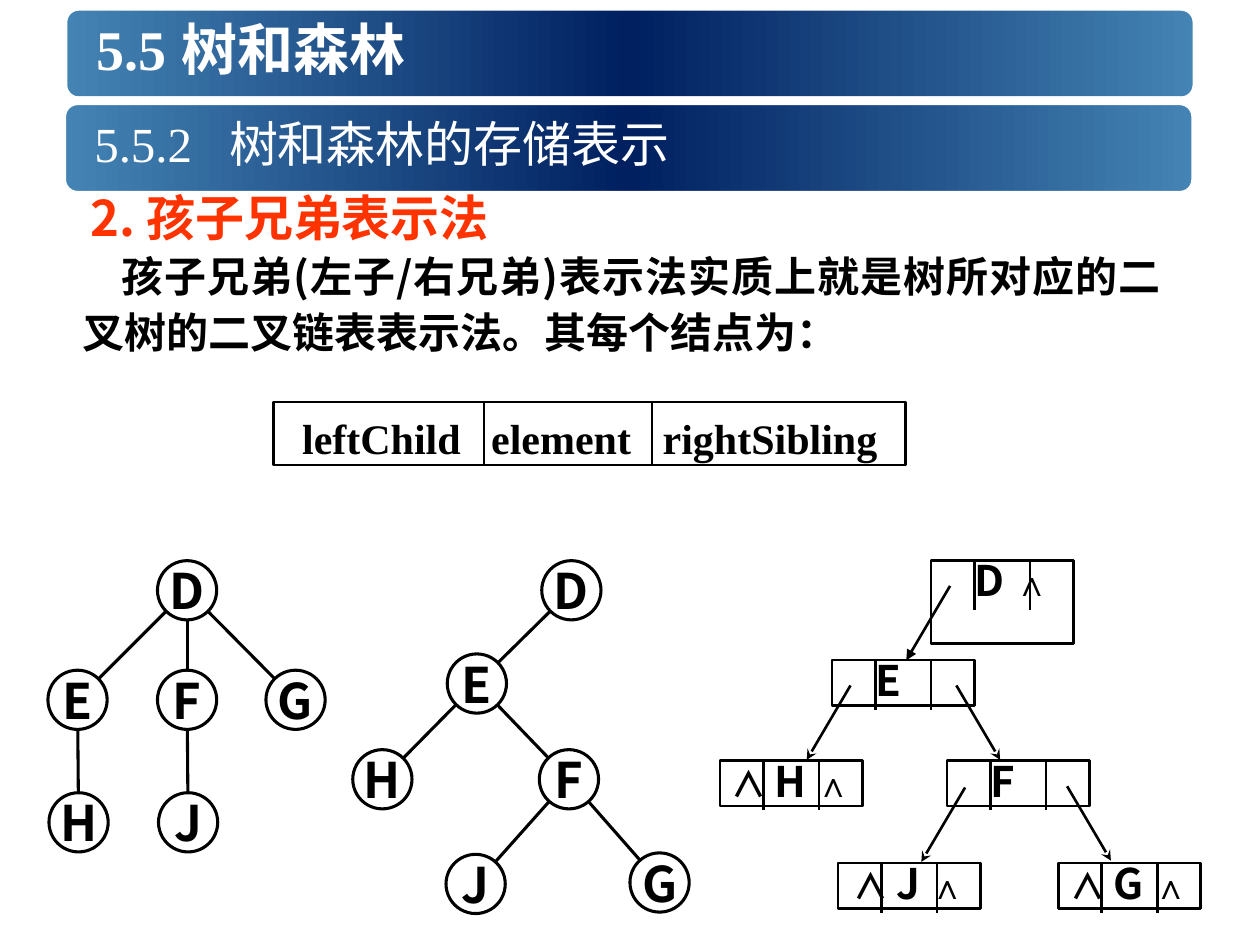
from copy import deepcopy
from dataclasses import dataclass
from math import hypot

from lxml.etree import SubElement
from pptx import Presentation
from pptx.dml.color import RGBColor
from pptx.enum.shapes import MSO_CONNECTOR as Connector, MSO_SHAPE as Preset
from pptx.enum.text import MSO_ANCHOR as Anchor, MSO_AUTO_SIZE as AutoSize, PP_ALIGN as Align
from pptx.oxml.ns import qn
from pptx.util import Pt

BLACK = RGBColor(0x00, 0x00, 0x00)
WHITE = RGBColor(0xFF, 0xFF, 0xFF)
RED = RGBColor(0xFF, 0x33, 0x00)
STEEL = RGBColor(0x44, 0x84, 0xB4)
NAVY = RGBColor(0x00, 0x20, 0x60)
SANS = "Noto Sans CJK SC"
SERIF = "Times New Roman"
SYMBOL = "Arial"
DIAMETER = 33.84
RECORD_WIDTH = 81.4
DIVIDERS = (24.8, 56.6)
DIVIDER_HEIGHT = 28.4
POINTER_REACH = (25, 42.5)


@dataclass
class Node:
    label: str
    left: float
    top: float

    @property
    def center(self) -> tuple[float, float]:
        return self.left + DIAMETER / 2, self.top + DIAMETER / 2


@dataclass
class Tree:
    nodes: list[Node]
    edges: list[str]


@dataclass
class Record:
    label: str
    left: float
    top: float
    height: float = 26
    left_null: bool = False
    right_null: bool = False


@dataclass
class Pointer:
    x: float
    y: float
    direction: int
    head: str = "stealth"


TREES = [
    Tree([Node("D", 90, 320.4), Node("E", 27.4, 383), Node("F", 90, 383), Node("G", 152, 383),
          Node("H", 28, 453), Node("J", 90.6, 453)],
         ["DE", "DF", "DG", "EH", "FJ"]),
    Tree([Node("D", 309.6, 320.4), Node("E", 255.6, 373.7), Node("F", 308.2, 428.4),
          Node("G", 360, 487.4), Node("H", 201.6, 428.4), Node("J", 254.9, 488.2)],
         ["DE", "EF", "FG", "EH", "FJ"]),
]
RECORDS = [
    Record("J", 478.8, 493.2, left_null=True, right_null=True),
    Record("G", 604.8, 493.2, left_null=True, right_null=True),
    Record("F", 541.2, 434.7),
    Record("H", 411.5, 434.7, left_null=True, right_null=True),
    Record("E", 475.4, 377.1),
    Record("D", 532, 320.4, 47.5, right_null=True),
]
POINTERS = [
    Pointer(542.9, 334.8, -1, "triangle"),
    Pointer(486, 391.7, -1),
    Pointer(551.5, 450, -1),
    Pointer(546.5, 391.7, 1),
    Pointer(609.8, 449.3, 1),
]


def style_run(run, size: float, font: str, color: RGBColor, bold: bool = True) -> None:
    run.font.size = Pt(size)
    run.font.name = font
    run.font.bold = bold
    run.font.color.rgb = color
    east_asian = SubElement(run.font._element, qn("a:ea"))
    east_asian.set("typeface", SYMBOL if font == SYMBOL else SANS)


def fill_text(shape, text: str, size: float, font: str, color: RGBColor, bold: bool = True,
              align=Align.LEFT, anchor=Anchor.TOP, tabs: tuple = ()):
    frame = shape.text_frame
    frame.word_wrap = True
    frame.auto_size = AutoSize.NONE
    frame.vertical_anchor = anchor
    frame.text = text
    paragraph = frame.paragraphs[0]
    paragraph.alignment = align
    if tabs:
        tab_list = SubElement(paragraph._p.get_or_add_pPr(), qn("a:tabLst"))
        for position in tabs:
            SubElement(tab_list, qn("a:tab"), pos=str(Pt(position)), algn="l")
    for run in paragraph.runs:
        style_run(run, size, font, color, bold)
    return paragraph


def place(shape, left: float, top: float, width: float, height: float) -> None:
    shape.left, shape.top, shape.width, shape.height = map(Pt, (left, top, width, height))


def add_text(slide, left: float, top: float, width: float, height: float, text: str, *style,
             **options):
    box = slide.shapes.add_textbox(Pt(left), Pt(top), Pt(width), Pt(height))
    return fill_text(box, text, *style, **options)


def add_bar(slide, left: float, top: float) -> None:
    bar = slide.shapes.add_shape(Preset.ROUNDED_RECTANGLE, Pt(left), Pt(top), Pt(648), Pt(54))
    bar.shadow.inherit = False
    bar.line.color.rgb = WHITE
    bar.line.width = Pt(5)
    bar.fill.gradient()
    bar.fill.gradient_angle = 0
    first_stop = bar.element.spPr.find(".//" + qn("a:gs"))
    first_stop.addnext(deepcopy(first_stop))
    for stop, position, color in zip(bar.fill.gradient_stops, (0, 0.5, 1), (STEEL, NAVY, STEEL)):
        stop.position = position
        stop.color.rgb = color


def add_outline(slide, preset, left: float, top: float, width: float, height: float,
                weight: float):
    shape = slide.shapes.add_shape(preset, Pt(left), Pt(top), Pt(width), Pt(height))
    shape.shadow.inherit = False
    shape.fill.background()
    shape.line.color.rgb = BLACK
    shape.line.width = Pt(weight)
    return shape


def add_line(slide, x1: float, y1: float, x2: float, y2: float, weight: float = 1.5,
             head: str = "") -> None:
    line = slide.shapes.add_connector(Connector.STRAIGHT, Pt(x1), Pt(y1), Pt(x2), Pt(y2))
    line.line.color.rgb = BLACK
    line.line.width = Pt(weight)
    if head:
        SubElement(line.line._get_or_add_ln(), qn("a:tailEnd"), type=head)
    SubElement(line.element.spPr, qn("a:effectLst"))


def add_tree(slide, tree: Tree) -> None:
    nodes = {node.label: node for node in tree.nodes}
    for node in tree.nodes:
        circle = add_outline(slide, Preset.OVAL, node.left, node.top, DIAMETER, DIAMETER, 1.75)
        fill_text(circle, node.label, 28, SANS, BLACK, align=Align.CENTER, anchor=Anchor.MIDDLE)
        circle.text_frame.word_wrap = False
    for parent, child in tree.edges:
        (x1, y1), (x2, y2) = nodes[parent].center, nodes[child].center
        ratio = DIAMETER / 2 / hypot(x2 - x1, y2 - y1)
        dx, dy = (x2 - x1) * ratio, (y2 - y1) * ratio
        add_line(slide, x1 + dx, y1 + dy, x2 - dx, y2 - dy, 1.75)


def add_record(slide, record: Record) -> None:
    box = add_outline(slide, Preset.RECTANGLE, record.left, record.top, RECORD_WIDTH,
                      record.height, 1.5)
    frame = box.text_frame
    frame.margin_top = frame.margin_bottom = frame.margin_right = 0
    frame.margin_left = 0 if record.left_null else Pt(25)
    align = Align.CENTER if record.left_null else Align.LEFT
    paragraph = fill_text(box, "", 24, SANS, BLACK, align=align)
    paragraph.line_spacing = 0.9
    parts = [("∧ ", 20, SANS)] if record.left_null else []
    parts.append((record.label + " " * record.right_null, 24, SANS))
    if record.right_null:
        parts.append(("∧", 20, SYMBOL))
    for text, size, font in parts:
        run = paragraph.add_run()
        run.text = text
        style_run(run, size, font, BLACK)
    for offset in DIVIDERS:
        x = record.left + offset
        add_line(slide, x, record.top, x, record.top + DIVIDER_HEIGHT)


def add_node_layout(slide) -> None:
    box = add_outline(slide, Preset.RECTANGLE, 156.2, 229.7, 361.4, 36, 1.5)
    box.text_frame.margin_left = Pt(16.5)
    box.text_frame.margin_top = Pt(6)
    fill_text(box, "leftChild\telement\trightSibling", 24, SERIF, BLACK, tabs=(108, 206))
    for x in (276.5, 372.5):
        add_line(slide, x, 229.7, x, 266.5)


def main() -> None:
    presentation = Presentation()
    presentation.slide_width, presentation.slide_height = Pt(720), Pt(540)
    slide = presentation.slides.add_slide(presentation.slide_layouts[5])
    add_bar(slide, 36, 3.6)
    title = slide.shapes.title
    title.element.getparent().append(title.element)
    place(title, 48.2, 3.6, 630, 48.2)
    fill_text(title, "5.5 树和森林", 32, SERIF, WHITE, anchor=Anchor.MIDDLE)
    add_bar(slide, 35.3, 57.6)
    add_text(slide, 46.8, 57.6, 630, 48.2, "5.5.2\t树和森林的存储表示", 28, SERIF, WHITE, False,
             anchor=Anchor.MIDDLE, tabs=(77,))
    add_text(slide, 44.6, 103.7, 408, 41, "2. 孩子兄弟表示法", 28, SANS, RED)
    body = add_text(slide, 40.3, 136.8, 630, 70.6,
                    "孩子兄弟(左子/右兄弟)表示法实质上就是树所对应的二叉树的二叉链表表示法。其每个结点为：",
                    24, SANS, BLACK, align=Align.JUSTIFY)
    body.line_spacing = 1.1
    body._p.get_or_add_pPr().set("indent", str(Pt(22)))
    add_node_layout(slide)
    for tree in TREES:
        add_tree(slide, tree)
    for record in RECORDS:
        add_record(slide, record)
    for pointer in POINTERS:
        reach_x, reach_y = POINTER_REACH
        add_line(slide, pointer.x, pointer.y, pointer.x + pointer.direction * reach_x,
                 pointer.y + reach_y, head=pointer.head)
    presentation.save("out.pptx")


if __name__ == "__main__":
    main()
